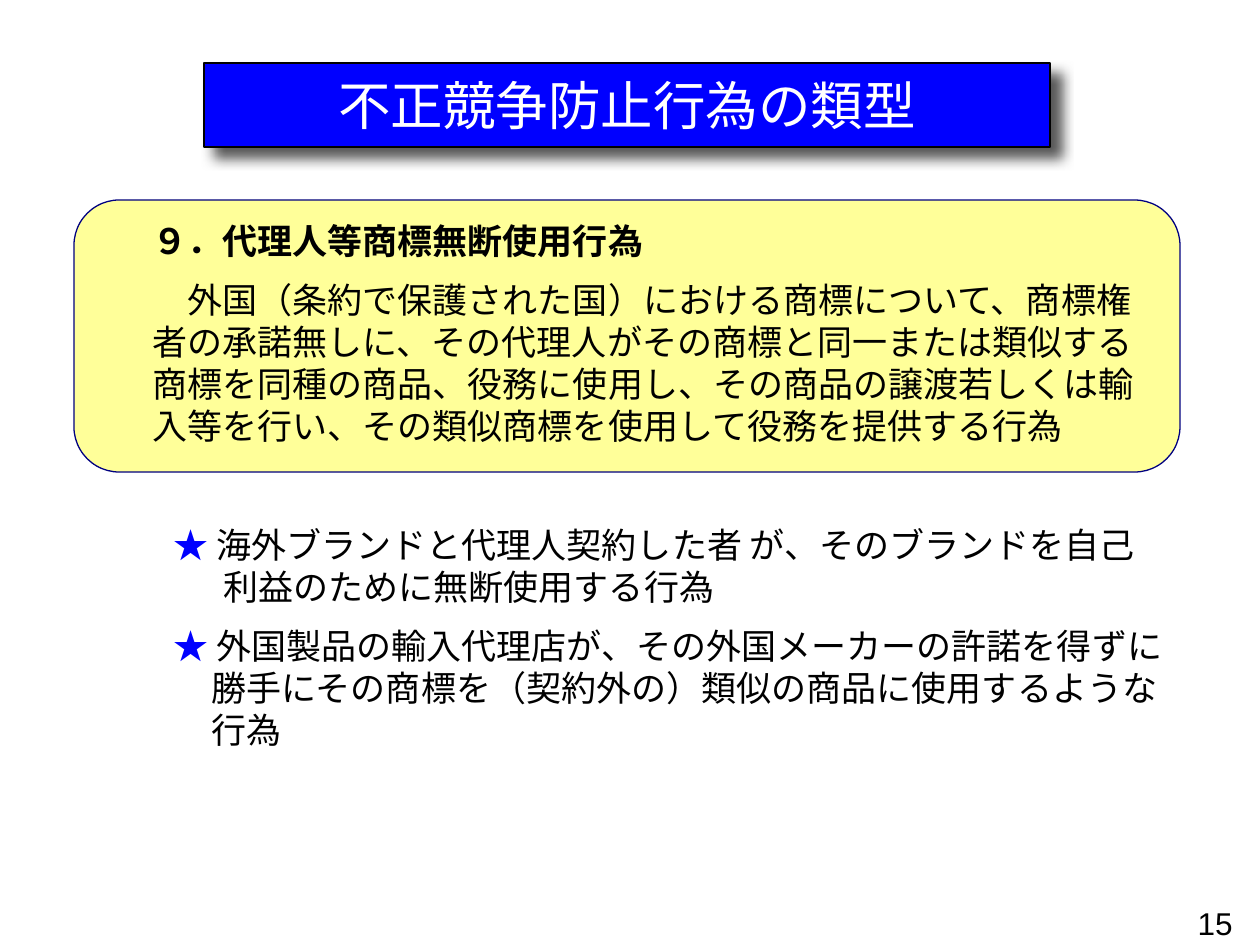
from lxml.etree import SubElement
from pptx import Presentation
from pptx.dml.color import RGBColor
from pptx.enum.lang import MSO_LANGUAGE_ID as Lang
from pptx.enum.shapes import MSO_SHAPE as Shape
from pptx.enum.text import MSO_ANCHOR as Anchor, MSO_AUTO_SIZE as Fit, PP_ALIGN as Align
from pptx.oxml.ns import qn
from pptx.util import Emu, Pt

CJK = "Noto Sans CJK JP"
BLUE, BLACK = "0000FF", "000000"


def px(n):
    return Emu(round(n * 914400 / 126))


def color(code):
    return RGBColor.from_string(code)


def paint(shape, fill, line):
    shape.fill.solid()
    shape.fill.fore_color.rgb = color(fill)
    shape.line.color.rgb = color(line)
    shape.line.width = Pt(0.75)


def style(para, size, code=BLACK, name="Arial", bold=False):
    font = para.font
    font.name, font.size, font.bold = name, Pt(size), bold
    font.color.rgb = color(code)
    font.language_id = Lang.JAPANESE


def cast_shadow(shape):
    effects = SubElement(shape._element.spPr, qn("a:effectLst"))
    shadow = SubElement(effects, qn("a:outerShdw"), blurRad=str(Pt(7)),
                        dist=str(Pt(8.5)), dir=str(45 * 60000),
                        algn="ctr", rotWithShape="0")
    SubElement(shadow, qn("a:srgbClr"), val="595959")


def add_text(slide, x, y, w, h):
    frame = slide.shapes.add_textbox(px(x), px(y), px(w), px(h)).text_frame
    frame.word_wrap = True
    return frame


def next_para(frame, index):
    """Return the first paragraph, or a new one set apart from the last."""
    if index == 0:
        return frame.paragraphs[0]
    para = frame.add_paragraph()
    para.space_before = Pt(10)
    return para


def add_title(slide, x, y, w, h, text):
    title = slide.shapes.title
    title.left, title.top, title.width, title.height = map(px, (x, y, w, h))
    paint(title, BLUE, BLACK)
    cast_shadow(title)
    frame = title.text_frame
    frame.text = text
    frame.auto_size = Fit.NONE
    frame.vertical_anchor = Anchor.MIDDLE
    para = frame.paragraphs[0]
    para.alignment = Align.CENTER
    style(para, 30, "FFFFFF", CJK)
    SubElement(para.font._element, qn("a:ea"), typeface=CJK)


def add_card(slide, x, y, w, h, head, body):
    card = slide.shapes.add_shape(Shape.ROUNDED_RECTANGLE, px(x), px(y), px(w), px(h))
    card.shadow.inherit = False
    paint(card, "FFFF99", "000080")
    frame = add_text(slide, x + 66, y + 13, w - 99, h - 26)
    for i, text in enumerate((head, body)):
        para = next_para(frame, i)
        para.text = text
        style(para, 20, bold=i == 0)


def add_notes(slide, x, y, w, h, notes):
    """Add starred paragraphs, each with its own hanging indent."""
    frame = add_text(slide, x, y, w, h)
    for i, (indent, text) in enumerate(notes):
        para = next_para(frame, i)
        props = para._p.get_or_add_pPr()
        props.set("marL", str(px(indent)))
        props.set("indent", str(-px(indent)))
        style(para, 20)
        star = para.add_run()
        star.text = "★ "
        star.font.color.rgb = color(BLUE)
        para.add_run().text = text


def add_number(slide, x, y, w, h, number):
    frame = add_text(slide, x, y, w, h)
    frame.vertical_anchor = Anchor.MIDDLE
    para = frame.paragraphs[0]
    para.text = str(number)
    para.alignment = Align.RIGHT
    style(para, 18)


def main():
    deck = Presentation()
    deck.slide_width, deck.slide_height = px(1260), px(945)
    slide = deck.slides.add_slide(deck.slide_layouts[5])
    add_title(slide, 204, 63, 846, 84, "不正競争防止行為の類型")
    add_card(
        slide, 74, 200, 1106, 272, "９．代理人等商標無断使用行為",
        "　外国（条約で保護された国）における商標について、商標権者の承諾無しに、"
        "その代理人がその商標と同一または類似する商標を同種の商品、役務に使用し、"
        "その商品の譲渡若しくは輸入等を行い、その類似商標を使用して役務を提供する行為")
    add_notes(slide, 161, 517, 1019, 204, [
        (50, "海外ブランドと代理人契約した者 が、そのブランドを自己"
             "利益のために無断使用する行為"),
        (38, "外国製品の輸入代理店が、その外国メーカーの許諾を得ずに"
             "勝手にその商標を（契約外の）類似の商品に使用するような行為"),
    ])
    add_number(slide, 951, 898, 294, 50, 15)
    deck.save("out.pptx")


if __name__ == "__main__":
    main()
